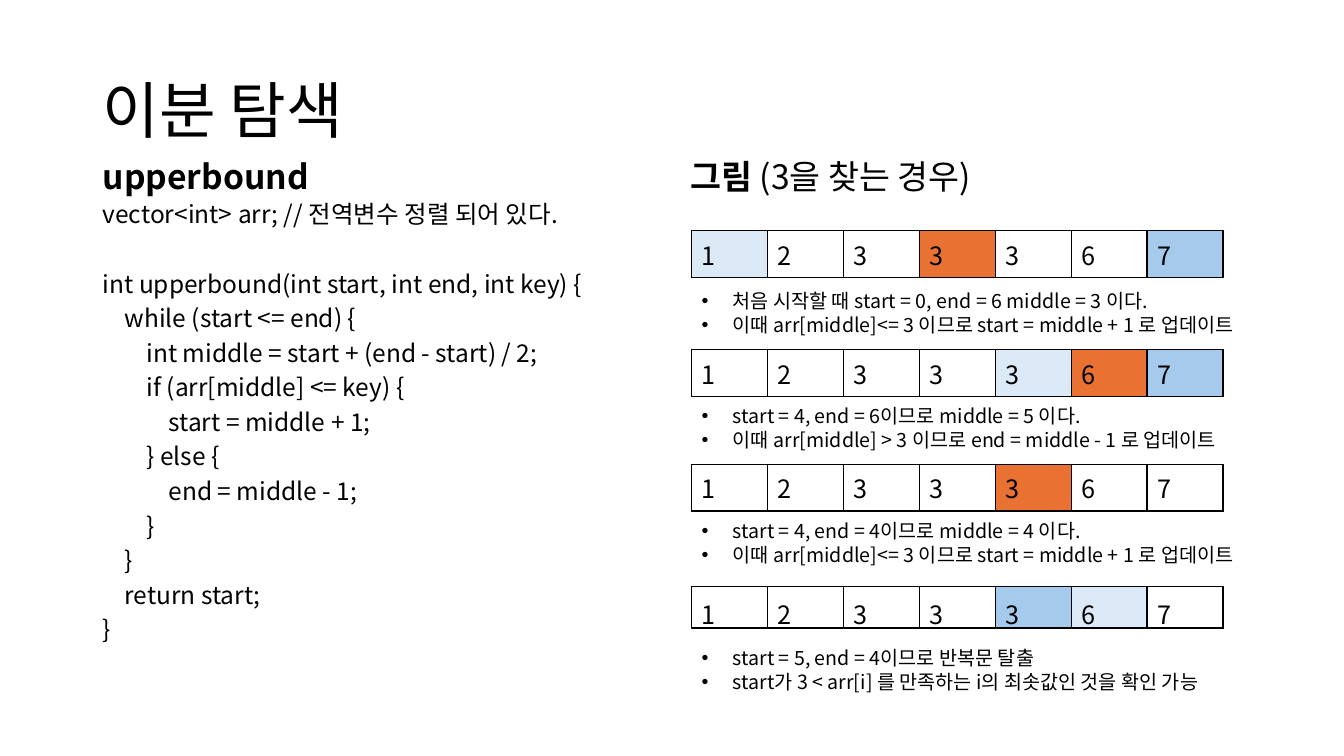
"""Build a slide that explains upper-bound binary search with code and four array states."""
import pptx
import pptx.dml.color
import pptx.enum.text
import pptx.oxml
import pptx.oxml.ns
import pptx.util

Inches, Pt = pptx.util.Inches, pptx.util.Pt
ANCHOR = pptx.enum.text.MSO_ANCHOR
FONT = "Noto Sans CJK KR"
BLACK, START, MIDDLE, END = "000000", "DCEAF7", "E97132", "A6CAEC"
NAMESPACE = pptx.oxml.ns.nsdecls("a")


def color(code):
    return pptx.dml.color.RGBColor.from_string(code)


def write(frame, text, size=18, bold=False, spacing=None, before=0, bullet=False, same_line=False):
    paragraph = frame.paragraphs[-1]
    if frame.text and not same_line:
        paragraph = frame.add_paragraph()
    if bullet:
        properties = paragraph._p.get_or_add_pPr()
        properties.set("marL", str(Inches(0.31)))
        properties.set("indent", str(-Inches(0.31)))
        properties.append(pptx.oxml.parse_xml(f'<a:buFont {NAMESPACE} typeface="Arial"/>'))
        properties.append(pptx.oxml.parse_xml(f'<a:buChar {NAMESPACE} char="•"/>'))
    if spacing:
        paragraph.line_spacing = spacing
    if before:
        paragraph.space_before = Pt(before)
    run = paragraph.add_run()
    run.text = text
    run.font.size, run.font.bold, run.font.name = Pt(size), bold, FONT
    run.font.color.rgb = color(BLACK)
    run._r.get_or_add_rPr().append(pptx.oxml.parse_xml(f'<a:ea {NAMESPACE} typeface="{FONT}"/>'))


presentation = pptx.Presentation()
presentation.slide_width, presentation.slide_height = Inches(13.33), Inches(7.5)
slide = presentation.slides.add_slide(presentation.slide_layouts[6])

left, right = 0.92, 6.86
boxes = {
    "title": (left, 0.4, 11.5, 1.45, ANCHOR.MIDDLE),
    "code heading": (left, 1.57, 5.64, 0.42, ANCHOR.MIDDLE),
    "code": (left, 2.01, 5.75, 4.77, ANCHOR.TOP),
    "figure heading": (6.75, 1.57, 5.67, 0.42, ANCHOR.MIDDLE),
    "step 1": (right, 2.82, 6.04, 0.57, ANCHOR.TOP),
    "step 2": (right, 3.96, 6.04, 0.57, ANCHOR.TOP),
    "step 3": (right, 5.1, 6.04, 0.57, ANCHOR.TOP),
    "step 4": (right, 6.36, 6.04, 0.57, ANCHOR.TOP),
}
frames = {}
for name, (*place, anchor) in boxes.items():
    shape = slide.shapes.add_textbox(*map(Inches, place))
    frames[name] = shape.text_frame
    frames[name].word_wrap = True
    frames[name].vertical_anchor = anchor

write(frames["title"], "이분 탐색", size=44, spacing=0.9)
write(frames["code heading"], "upperbound", size=24, bold=True, spacing=0.8)
write(frames["figure heading"], "그림 ", size=24, bold=True, spacing=0.8)
write(frames["figure heading"], "(3을 찾는 경우)", size=24, same_line=True)

write(frames["code"], "vector<int> arr; // 전역변수 정렬 되어 있다.", size=17.5, spacing=0.7)
function_code = """int upperbound(int start, int end, int key) {
    while (start <= end) {
        int middle = start + (end - start) / 2;
        if (arr[middle] <= key) {
            start = middle + 1;
        } else {
            end = middle - 1;
        }
    }
    return start;
}"""
for number, line in enumerate(function_code.split("\n")):
    write(frames["code"], line, size=17.5, spacing=0.7, before=10 if number else 34.7)

values = [1, 2, 3, 3, 3, 6, 7]
steps = [
    (2.29, 0.46, 0.05, {0: START, 3: MIDDLE, 6: END},
     ["처음 시작할 때 start = 0, end = 6 middle = 3 이다.",
      "이때 arr[middle]<= 3 이므로 start = middle + 1 로 업데이트"]),
    (3.47, 0.46, 0.05, {4: START, 5: MIDDLE, 6: END},
     ["start = 4, end = 6이므로 middle = 5 이다.",
      "이때 arr[middle] > 3 이므로 end = middle - 1 로 업데이트"]),
    (4.61, 0.46, 0.05, {4: MIDDLE},
     ["start = 4, end = 4이므로 middle = 4 이다.",
      "이때 arr[middle]<= 3 이므로 start = middle + 1 로 업데이트"]),
    (5.82, 0.41, 0.09, {4: END, 5: START},
     ["start = 5, end = 4이므로 반복문 탈출",
      "start가 3 < arr[i] 를 만족하는 i의 최솟값인 것을 확인 가능"]),
]
for number, (top, height, margin_top, fills, lines) in enumerate(steps, 1):
    table = slide.shapes.add_table(
        1, len(values), Inches(right), Inches(top), Inches(5.27), Inches(height)).table
    table.first_row = table.horz_banding = False
    for column, value in enumerate(values):
        cell = table.cell(0, column)
        cell.margin_top, cell.margin_bottom = Inches(margin_top), Inches(0.1 - margin_top)
        write(cell.text_frame, str(value))
        for side in ("lnL", "lnR", "lnT", "lnB"):
            cell._tc.get_or_add_tcPr().append(pptx.oxml.parse_xml(
                f'<a:{side} {NAMESPACE} w="{Pt(1)}"><a:solidFill>'
                f'<a:srgbClr val="{BLACK}"/></a:solidFill></a:{side}>'))
        if column in fills:
            cell.fill.solid()
            cell.fill.fore_color.rgb = color(fills[column])
        else:
            cell.fill.background()
    frame = frames[f"step {number}"]
    frame.auto_size = pptx.enum.text.MSO_AUTO_SIZE.SHAPE_TO_FIT_TEXT
    for line in lines:
        write(frame, line, size=14, bullet=True)

presentation.save("out.pptx")
